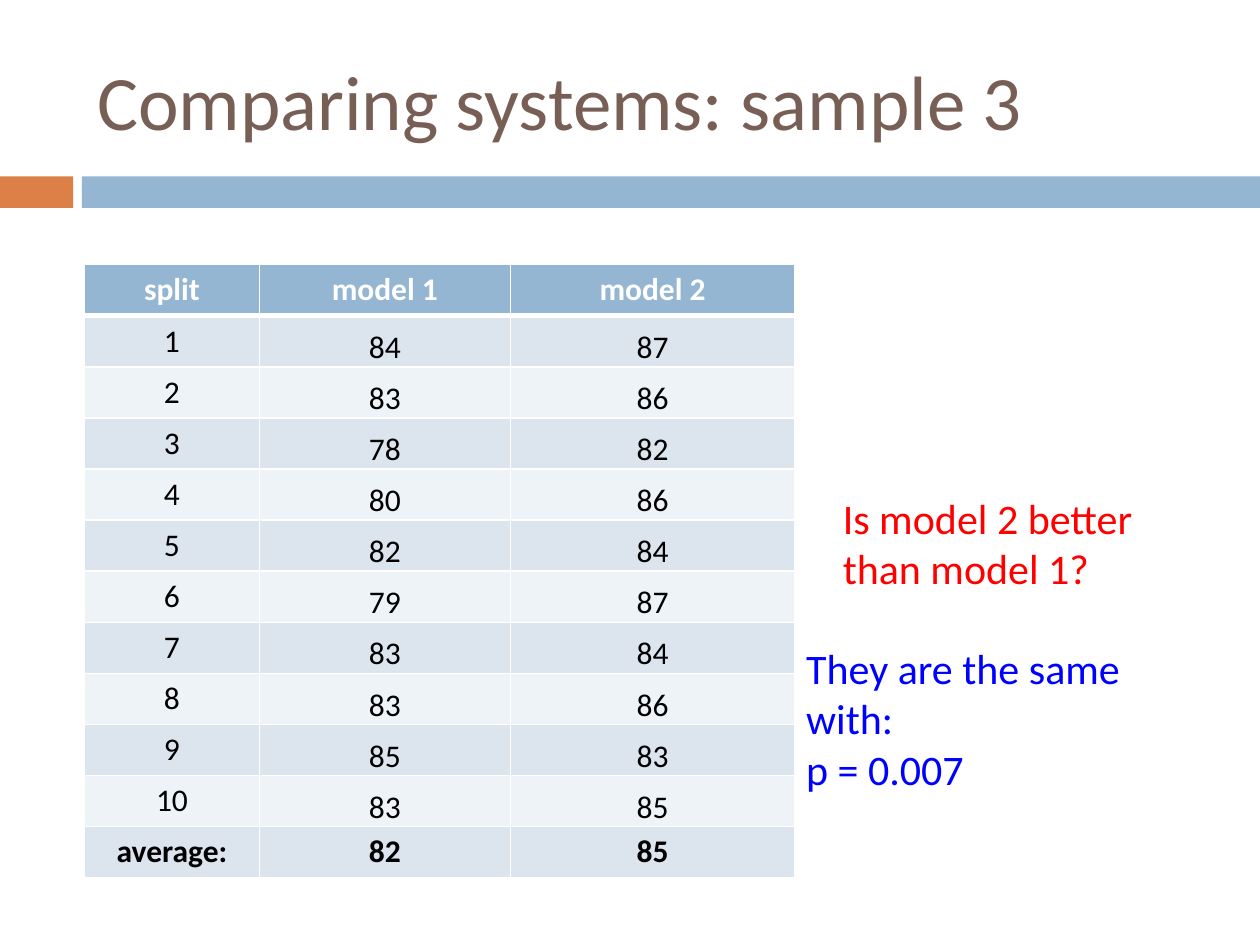
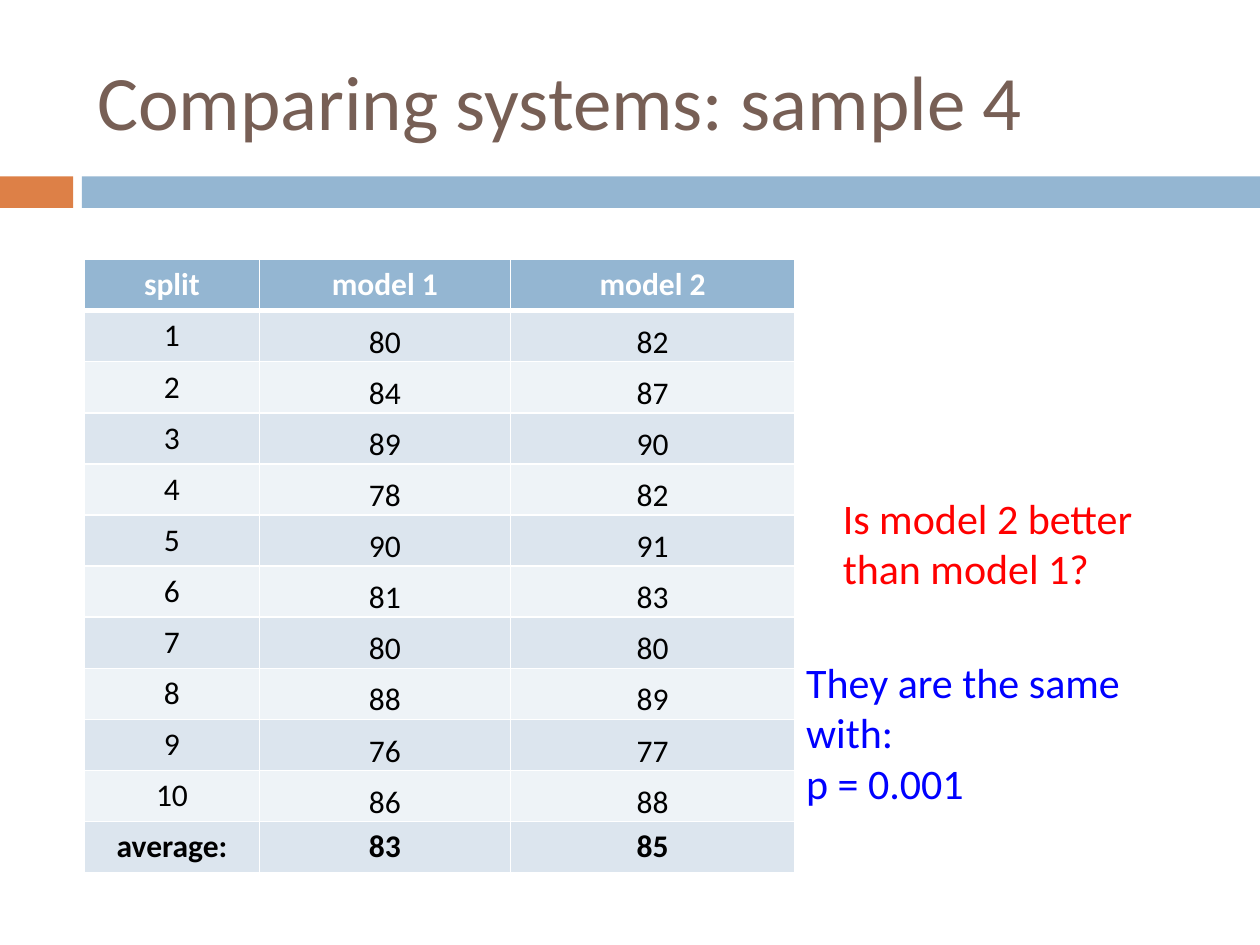
import dataclasses

import lxml.etree
import pptx
import pptx.dml.color
import pptx.enum.shapes
import pptx.enum.text
import pptx.oxml.ns
import pptx.util

Inches = pptx.util.Inches
ANCHOR = pptx.enum.text.MSO_ANCHOR
ALIGN = pptx.enum.text.PP_ALIGN
AUTO_SIZE = pptx.enum.text.MSO_AUTO_SIZE


def rgb(code):
    return pptx.dml.color.RGBColor.from_string(code)


@dataclasses.dataclass(frozen=True)
class Theme:
    font: str = "Calibri"
    title: str = "775F55"
    accent: str = "DD8047"
    band: str = "94B6D2"
    odd_row: str = "DCE5EE"
    even_row: str = "EEF3F7"
    white: str = "FFFFFF"
    black: str = "000000"
    question: str = "FF0000"
    answer: str = "0000FF"
    title_size: int = 44
    note_size: int = 24
    table_size: int = 18


THEME = Theme()

# title number, table top, answer top, model 1 scores, model 2 scores, averages, p value
SAMPLES = [
    (3, 2.1, 5.05,
     [84, 83, 78, 80, 82, 79, 83, 83, 85, 83],
     [87, 86, 82, 86, 84, 87, 84, 86, 83, 85], (82, 85), "0.007"),
    (4, 2.06, 5.16,
     [80, 84, 89, 78, 90, 81, 80, 88, 76, 86],
     [82, 87, 90, 82, 91, 83, 80, 89, 77, 88], (83, 85), "0.001"),
]
COLUMN_WIDTHS = [1.39, 1.99, 2.26]
ROW_HEIGHT = 0.4


def write(paragraph, text, size, color, align=ALIGN.LEFT, bold=False):
    paragraph.alignment = align
    run = paragraph.add_run()
    run.text = text
    run.font.name = THEME.font
    run.font.size = pptx.util.Pt(size)
    run.font.bold = bold
    run.font.color.rgb = rgb(color)


presentation = pptx.Presentation()
presentation.slide_width, presentation.slide_height = Inches(10), Inches(7.5)
layout = presentation.slide_layouts.get_by_name("Title Only")

title_area = layout.placeholders[0]
title_area.left, title_area.top = Inches(0.67), Inches(0.25)
title_area.width, title_area.height = Inches(8.92), Inches(1.08)

for sample, table_top, answer_top, model_1, model_2, averages, p_value in SAMPLES:
    slide = presentation.slides.add_slide(layout)

    title = slide.shapes.title.text_frame
    title.vertical_anchor = ANCHOR.MIDDLE
    title.auto_size = AUTO_SIZE.NONE
    write(title.paragraphs[0], f"Comparing systems: sample {sample}",
          THEME.title_size, THEME.title)

    # Score table
    rows = [("split", "model 1", "model 2"),
            *zip(range(1, 11), model_1, model_2),
            ("average:", *averages)]
    last = len(rows) - 1
    scores = slide.shapes.add_table(
        len(rows), len(COLUMN_WIDTHS), Inches(0.67), Inches(table_top),
        Inches(sum(COLUMN_WIDTHS)), Inches(ROW_HEIGHT * len(rows))).table
    for column, width in zip(scores.columns, COLUMN_WIDTHS):
        column.width = Inches(width)

    for r, row in enumerate(rows):
        if r == 0:
            fill = THEME.band
        else:
            fill = THEME.odd_row if r % 2 else THEME.even_row
        for c, value in enumerate(row):
            cell = scores.cell(r, c)
            properties = cell._tc.get_or_add_tcPr()
            for side in "LRTB":
                under_header = (r, side) in [(0, "B"), (1, "T")]
                line = lxml.etree.SubElement(
                    properties, pptx.oxml.ns.qn(f"a:ln{side}"),
                    w=str(pptx.util.Pt(3 if under_header else 1)))
                paint = lxml.etree.SubElement(line, pptx.oxml.ns.qn("a:solidFill"))
                lxml.etree.SubElement(paint, pptx.oxml.ns.qn("a:srgbClr"), val=THEME.white)
            cell.fill.solid()
            cell.fill.fore_color.rgb = rgb(fill)
            if 0 < r < last and c > 0:
                cell.vertical_anchor = ANCHOR.BOTTOM
                cell.margin_left = cell.margin_right = cell.margin_top = Inches(0.01)
                cell.margin_bottom = 0
            write(cell.text_frame.paragraphs[0], str(value), THEME.table_size,
                  THEME.black if r else THEME.white, ALIGN.CENTER, bold=r in (0, last))

    # Question and its answer
    notes = [
        (6.59, 3.86, 2.99, THEME.question, ["Is model 2 better than model 1?"]),
        (6.3, answer_top, 3.37, THEME.answer,
         ["They are the same with:", f"p = {p_value}"]),
    ]
    for left, top, width, color, lines in notes:
        note = slide.shapes.add_textbox(
            Inches(left), Inches(top), Inches(width), Inches(0.91)).text_frame
        note.word_wrap = True
        note.auto_size = AUTO_SIZE.SHAPE_TO_FIT_TEXT
        for i, text in enumerate(lines):
            paragraph = note.add_paragraph() if i else note.paragraphs[0]
            write(paragraph, text, THEME.note_size, color)

# Bands are drawn on a slide, then moved to the layout so that every slide shares them
for number, (left, width, color) in enumerate(
        [(0, 0.58, THEME.accent), (0.65, 9.35, THEME.band)]):
    band = slide.shapes.add_shape(
        pptx.enum.shapes.MSO_SHAPE.RECTANGLE,
        Inches(left), Inches(1.4), Inches(width), Inches(0.25))
    band.shadow.inherit = False
    band.fill.solid()
    band.fill.fore_color.rgb = rgb(color)
    band.line.fill.background()
    band.element.nvSpPr.cNvPr.set("id", str(100 + number))
    layout.shapes.element.append(band.element)

presentation.save("out.pptx")
